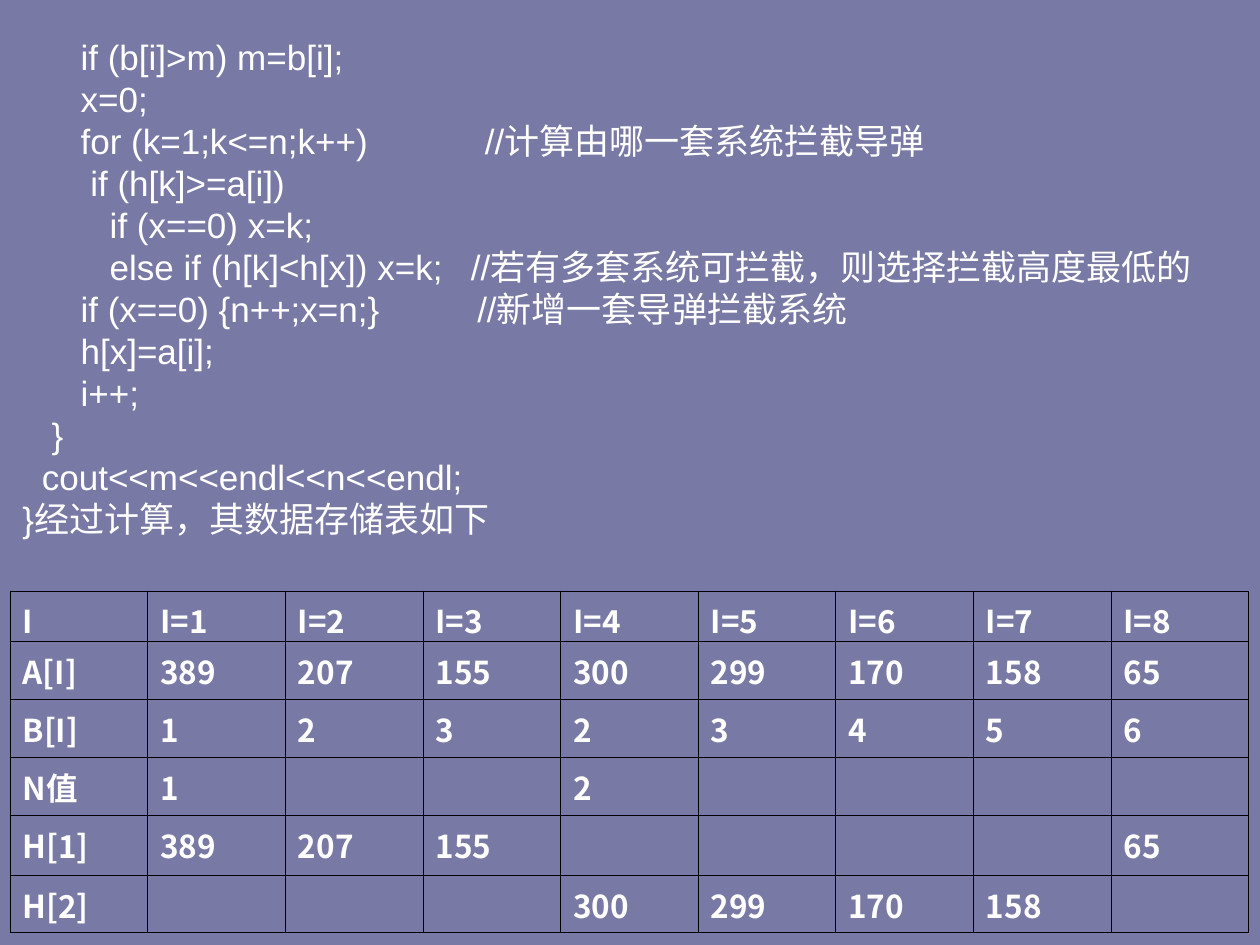
from lxml import etree
from pptx import Presentation
from pptx.dml.color import RGBColor
from pptx.oxml import ns
from pptx.util import Inches, Pt

HUES = {"back": "7979A5", "text": "FFFFFF", "line": "000000"}
LATIN, ASIAN = "Arial", "Noto Sans CJK SC"
SPACE = 0.077
CODE = [
    (6, "if (b[i]>m) m=b[i];", "", 0),
    (6, "x=0;", "", 0),
    (6, "for (k=1;k<=n;k++)", "//计算由哪一套系统拦截导弹", 3.67),
    (7, "if (h[k]>=a[i])", "", 0),
    (9, "if (x==0) x=k;", "", 0),
    (9, "else if (h[k]<h[x]) x=k;", "//若有多套系统可拦截，则选择拦截高度最低的", 3.56),
    (6, "if (x==0) {n++;x=n;}", "//新增一套导弹拦截系统", 3.61),
    (6, "h[x]=a[i];", "", 0),
    (6, "i++;", "", 0),
    (3, "}", "", 0),
    (2, "cout<<m<<endl<<n<<endl;", "", 0),
    (0, "}经过计算，其数据存储表如下", "", 0),
]
DATA = [
    ["I"] + [f"I={n}" for n in range(1, 9)],
    ["A[I]", "389", "207", "155", "300", "299", "170", "158", "65"],
    ["B[I]", "1", "2", "3", "2", "3", "4", "5", "6"],
    ["N值", "1", "", "", "2", "", "", "", ""],
    ["H[1]", "389", "207", "155", "", "", "", "", "65"],
    ["H[2]", "", "", "", "300", "299", "170", "158", ""],
]
ROWS = [0.4, 0.46, 0.46, 0.46, 0.48, 0.45]


def add(node, tag, **attrs):
    """Append a DrawingML child and return it."""
    return etree.SubElement(node, ns.qn("a:" + tag), **attrs)


def style(para, face, size, bold=False):
    """Format every run of a paragraph."""
    for run in para.runs:
        font = run.font
        font.name, font.size, font.bold = face, Pt(size), bold
        font.color.rgb = RGBColor.from_string(HUES["text"])
        add(run._r.get_or_add_rPr(), "ea", typeface=ASIAN)


def set_tabs(para, stops):
    """Give a paragraph left tab stops in inches."""
    tabs = add(para._p.get_or_add_pPr(), "tabLst")
    for stop in stops:
        add(tabs, "tab", pos=str(int(Inches(stop))), algn="l")


def add_code(slide, left, top, width, height):
    """Write the program, with indents and remarks on tab stops."""
    box = slide.shapes.add_textbox(*map(Inches, (left, top, width, height)))
    frame = box.text_frame
    frame.word_wrap = True
    for i, (depth, code, note, stop) in enumerate(CODE):
        para = frame.add_paragraph() if i else frame.paragraphs[0]
        para.text = ("\t" if depth else "") + code + ("\t" + note if note else "")
        stops = [x for x in (depth * SPACE, stop) if x]
        if stops:
            set_tabs(para, stops)
        style(para, LATIN, 20)


def add_edges(cell):
    """Draw thin lines on the four sides of a cell."""
    props = cell._tc.get_or_add_tcPr()
    for i, side in enumerate("LRTB"):
        edge = add(props, "ln" + side, w=str(int(Pt(0.5))))
        add(add(edge, "solidFill"), "srgbClr", val=HUES["line"])
        props.insert(i, edge)


def add_grid(slide, left, top, width, height):
    """Place the table of stored values."""
    count = len(DATA[0])
    area = map(Inches, (left, top, width, height))
    table = slide.shapes.add_table(len(DATA), count, *area).table
    table.first_row = table.horz_banding = False
    for col in table.columns:
        col.width = Inches(width / count)
    for row, tall, words in zip(table.rows, ROWS, DATA):
        row.height = Inches(tall)
        for cell, word in zip(row.cells, words):
            cell.fill.background()
            cell.margin_bottom = 0
            add_edges(cell)
            para = cell.text_frame.paragraphs[0]
            para.text = word
            if word:
                gap = add(para._p.get_or_add_pPr(), "spcBef")
                add(gap, "spcPct", val="20000")
            style(para, ASIAN, 18, True)


def main():
    """Build the slide and save it."""
    deck = Presentation()
    deck.slide_width, deck.slide_height = Inches(10), Inches(7.5)
    slide = deck.slides.add_slide(deck.slide_layouts[6])
    fill = slide.background.fill
    fill.solid()
    fill.fore_color.rgb = RGBColor.from_string(HUES["back"])
    add_code(slide, 0.08, 0.23, 10, 4.43)
    add_grid(slide, 0.08, 4.69, 9.83, sum(ROWS))
    deck.save("out.pptx")


if __name__ == "__main__":
    main()
